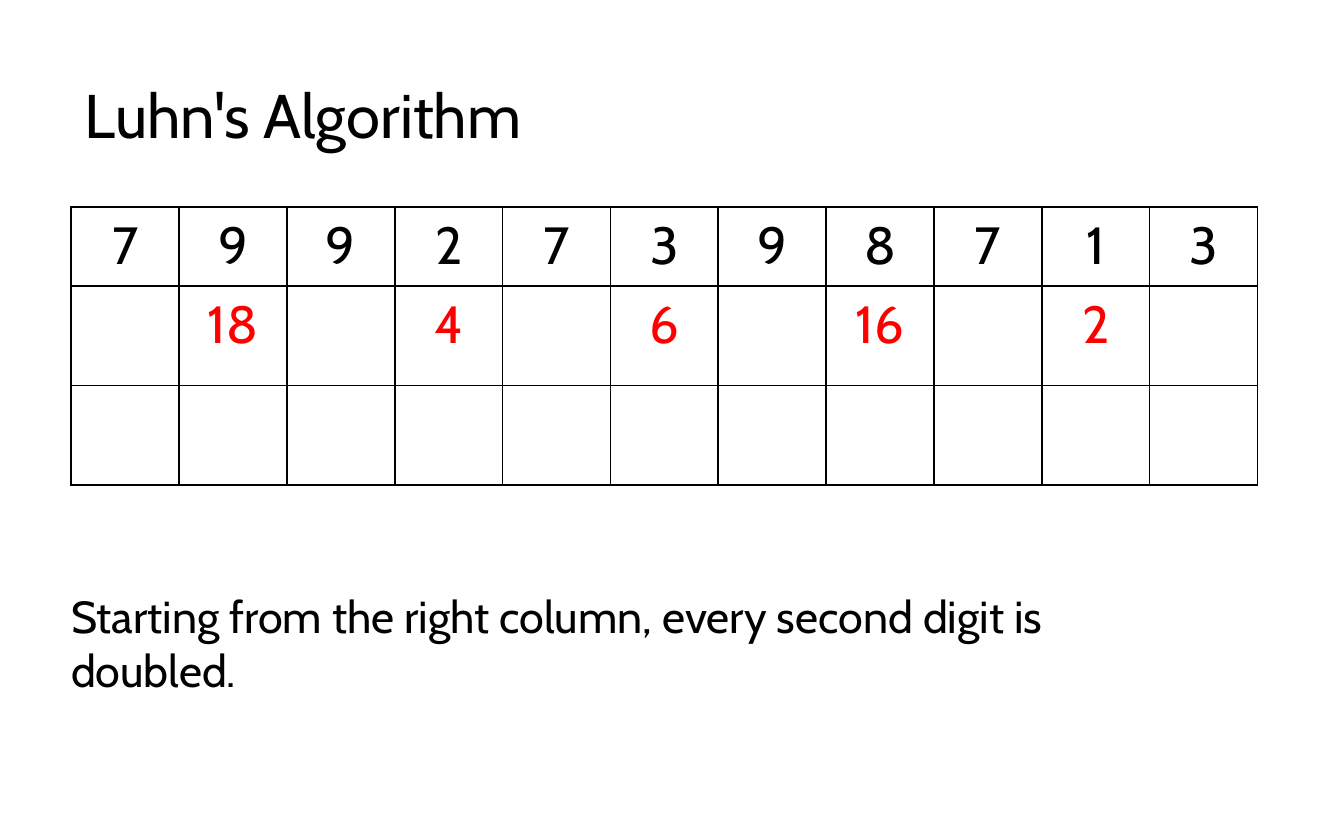
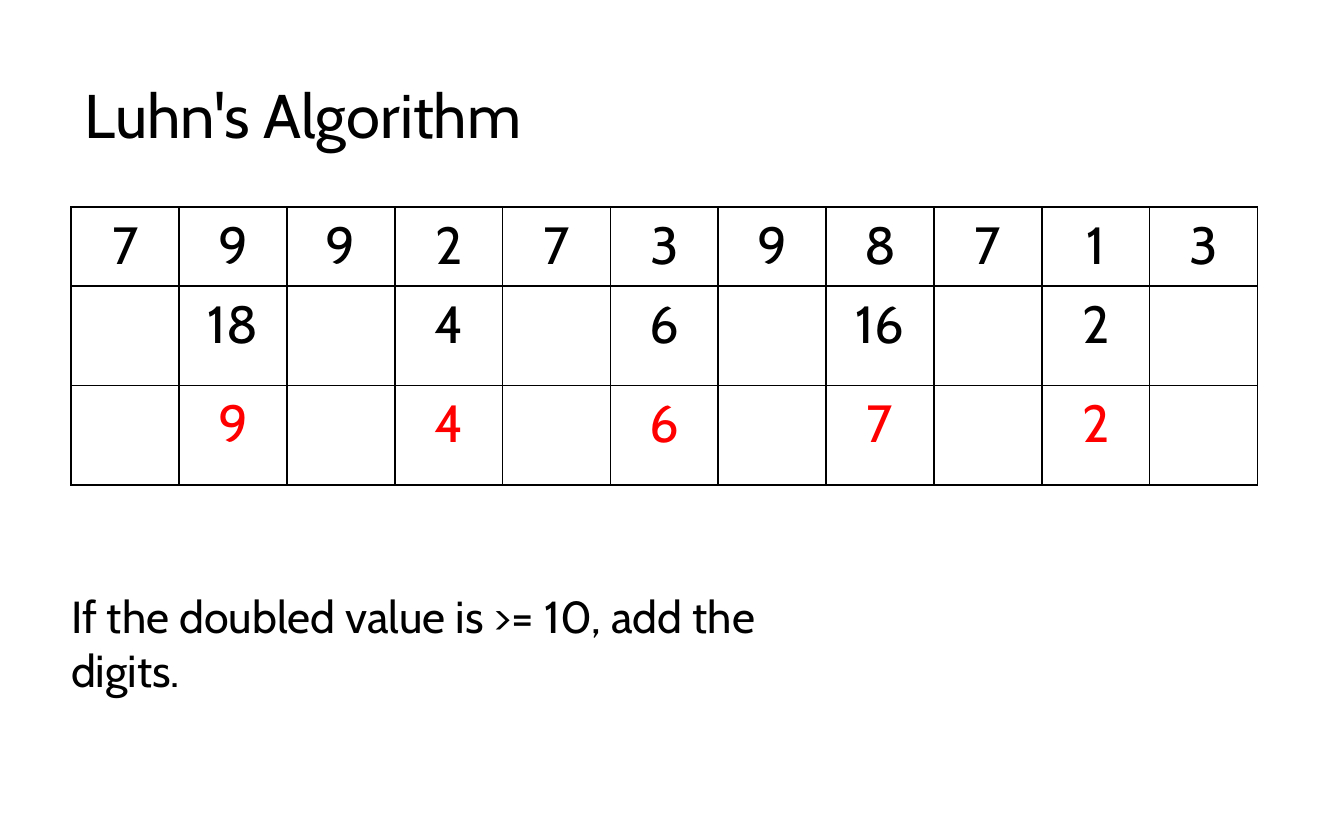
from dataclasses import dataclass

from lxml import etree
from pptx import Presentation
from pptx.dml import color
from pptx.enum import text
from pptx.oxml import ns
from pptx.util import Emu, Pt

SCALE = 9144


def px(*sizes):
    return [Emu(size * SCALE) for size in sizes]


@dataclass(frozen=True)
class Theme:
    font: str = "Cabin"
    ink: str = "000000"
    mark: str = "FF0000"
    paper: str = "FFFFFF"
    head: int = 33
    digit: int = 28
    note: int = 24
    rule: int = 1


class Deck:
    def __init__(self, theme):
        self.theme = theme
        self.deck = Presentation()
        self.deck.slide_width, self.deck.slide_height = px(1000, 625)
        self.slide = None

    def put(self, item, values):
        for name, value in values.items():
            setattr(item, name, value)

    def label(self, frame, words, size, tint, **form):
        para = frame.paragraphs[0]
        para.text = words
        self.put(para, form)
        self.put(para.font, {"name": self.theme.font, "size": Pt(size), "bold": False})
        para.font.color.rgb = color.RGBColor.from_string(tint)

    def page(self, words):
        self.slide = self.deck.slides.add_slide(self.deck.slide_layouts[5])
        fill = self.slide.background.fill
        fill.solid()
        fill.fore_color.rgb = color.RGBColor.from_string(self.theme.paper)
        title = self.slide.shapes.title
        self.put(title, dict(zip(("left", "top", "width", "height"), px(53, 51, 771, 75))))
        self.put(title.text_frame, {
            "vertical_anchor": text.MSO_ANCHOR.MIDDLE,
            "auto_size": text.MSO_AUTO_SIZE.NONE,
            "word_wrap": True,
        })
        self.label(title.text_frame, words, self.theme.head, self.theme.ink,
                   alignment=text.PP_ALIGN.LEFT, line_spacing=0.9)

    def edge(self, cell):
        props = cell._tc.get_or_add_tcPr()
        for side in ("lnL", "lnR", "lnT", "lnB"):
            line = etree.SubElement(props, ns.qn("a:" + side), w=str(Pt(self.theme.rule)))
            fill = etree.SubElement(line, ns.qn("a:solidFill"))
            etree.SubElement(fill, ns.qn("a:srgbClr"), val=self.theme.ink)

    def grid(self, rows, hot):
        shape = self.slide.shapes.add_table(len(rows), len(rows[0]), *px(53, 154, 883, 207))
        table = shape.table
        self.put(table, {"first_row": False, "horz_banding": False})
        for row, height in zip(table.rows, px(59, 74, 74)):
            row.height = height
        for y, row in enumerate(rows):
            tint = self.theme.mark if y == hot else self.theme.ink
            for x, value in enumerate(row):
                cell = table.cell(y, x)
                self.edge(cell)
                cell.fill.background()
                if value is not None:
                    self.label(cell.text_frame, str(value), self.theme.digit, tint,
                               alignment=text.PP_ALIGN.CENTER)

    def note(self, words, width):
        box = self.slide.shapes.add_textbox(*px(43, 433, width, 50))
        self.put(box.text_frame, {
            "word_wrap": True,
            "auto_size": text.MSO_AUTO_SIZE.SHAPE_TO_FIT_TEXT,
        })
        self.label(box.text_frame, words, self.theme.note, self.theme.ink)


def main():
    deck = Deck(Theme())
    digits = [int(sign) for sign in "79927398713"]
    twice = [2 * n if x % 2 else None for x, n in enumerate(digits)]
    sums = [n and sum(divmod(n, 10)) for n in twice]
    blank = [None] * len(digits)
    steps = [
        (blank, 1, "Starting from the right column, every second digit is doubled.", 858),
        (sums, 2, "If the doubled value is >= 10, add the digits.", 612),
    ]
    for last, hot, words, width in steps:
        deck.page("Luhn's Algorithm")
        deck.grid([digits, twice, last], hot)
        deck.note(words, width)
    deck.deck.save("out.pptx")


if __name__ == "__main__":
    main()
